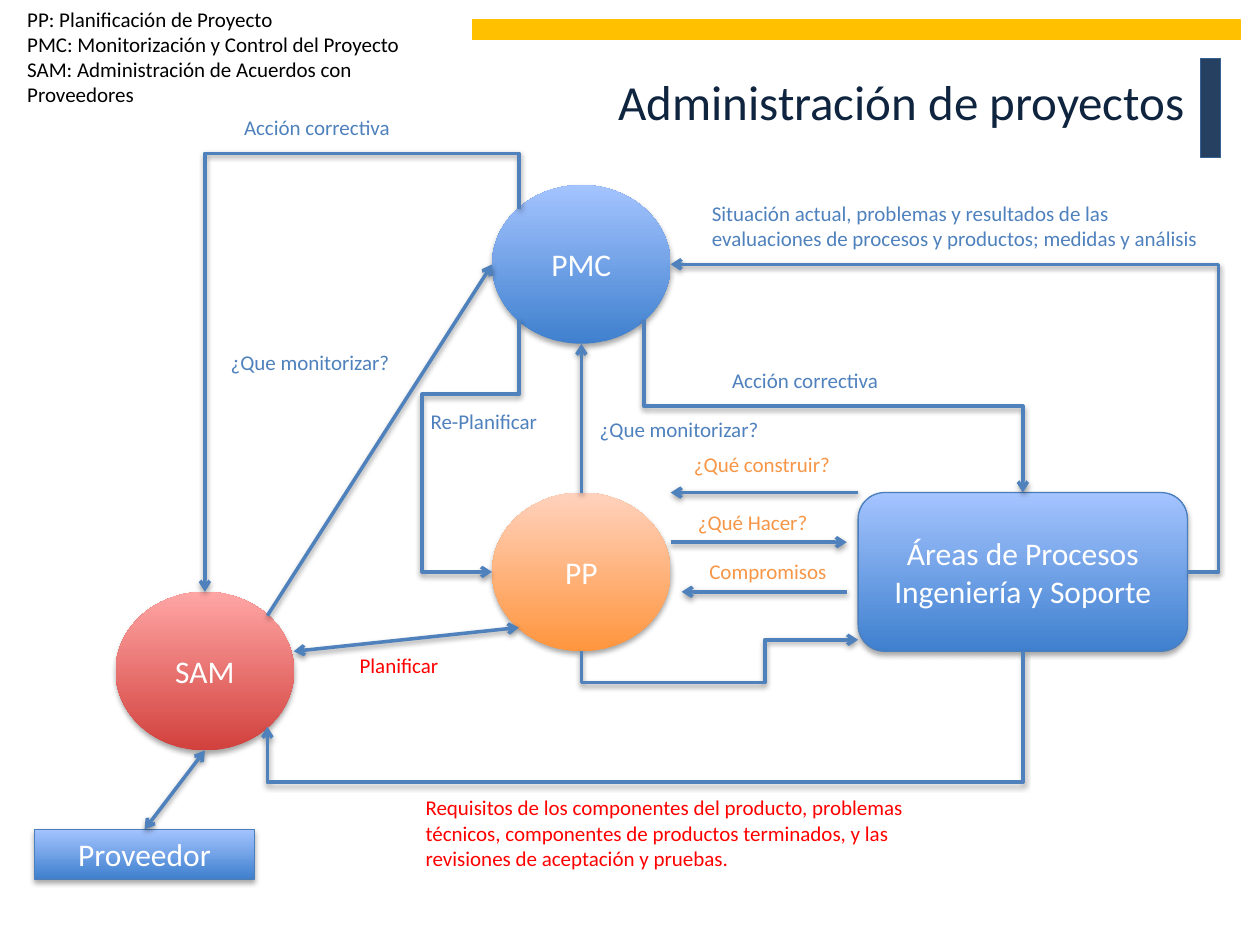
from lxml import etree
from pptx import Presentation
from pptx.dml.color import RGBColor
from pptx.enum.shapes import MSO_CONNECTOR, MSO_SHAPE
from pptx.enum.text import MSO_ANCHOR, MSO_AUTO_SIZE, PP_ALIGN
from pptx.oxml.ns import qn
from pptx.util import Cm, Pt

STRAIGHT, ELBOW = MSO_CONNECTOR.STRAIGHT, MSO_CONNECTOR.ELBOW
RECT, OVAL, ROUNDED = MSO_SHAPE.RECTANGLE, MSO_SHAPE.OVAL, MSO_SHAPE.ROUNDED_RECTANGLE
LEFT, CENTER, RIGHT = PP_ALIGN.LEFT, PP_ALIGN.CENTER, PP_ALIGN.RIGHT
MIDDLE = MSO_ANCHOR.MIDDLE
GROW, FIXED = MSO_AUTO_SIZE.SHAPE_TO_FIT_TEXT, MSO_AUTO_SIZE.NONE

FONT = "Calibri"
COLORS = {
    "navy": "254061", "navy_edge": "376092", "gold": "FFC000", "title": "0F243E",
    "blue": "4F81BD", "red": "FF0000", "orange": "F79646", "black": "000000",
    "white": "FFFFFF", "node_edge": "4B7EBC",
}
GRADIENTS = {
    "blue": ("3F80CE", "A4C4FF"),
    "orange": ("FF953E", "FFD2BD"),
    "red": ("D1403C", "FFA6A5"),
}

PP = (9.92, 9.93, 3.6, 3.2)
PMC = (9.92, 3.73, 3.6, 3.2)
SAM = (2.33, 11.93, 3.6, 3.2)
SUPPLIER = (0.7, 16.72, 4.43, 1)
AREAS = (17.3, 9.93, 6.64, 3.2)
NEAR, FAR = 0.15, 0.85


def rgb(name):
    return RGBColor.from_string(COLORS[name])


def port(node, across, down):
    left, top, width, height = node
    return left + across * width, top + down * height


def write(frame, text, size, color, align):
    frame.word_wrap = True
    frame.text = text
    for paragraph in frame.paragraphs:
        paragraph.alignment = align
        for run in paragraph.runs:
            run.font.name = FONT
            run.font.size = Pt(size)
            run.font.color.rgb = rgb(color)


def add_shadow(properties, distance, opacity):
    effects = properties.find(qn("a:effectLst"))
    if effects is None:
        effects = etree.SubElement(properties, qn("a:effectLst"))
    shadow = etree.SubElement(effects, qn("a:outerShdw"), blurRad="40000",
                              dist=str(distance), dir="5400000", rotWithShape="0")
    tint = etree.SubElement(shadow, qn("a:srgbClr"), val=COLORS["black"])
    etree.SubElement(tint, qn("a:alpha"), val=str(opacity * 1000))


def add_bar(slide, box, fill, edge):
    bar = slide.shapes.add_shape(RECT, *map(Cm, box))
    bar.shadow.inherit = False
    bar.fill.solid()
    bar.fill.fore_color.rgb = rgb(fill)
    bar.line.color.rgb = rgb(edge)
    bar.line.width = Pt(0.75)


def add_node(slide, kind, box, text, gradient):
    node = slide.shapes.add_shape(kind, *map(Cm, box))
    node.fill.gradient()
    node.fill.gradient_angle = 90
    for stop, color in zip(node.fill.gradient_stops, GRADIENTS[gradient]):
        stop.color.rgb = RGBColor.from_string(color)
    if kind == OVAL:
        node.line.fill.background()
    else:
        node.line.color.rgb = rgb("node_edge")
        node.line.width = Pt(0.75)
    node.shadow.inherit = False
    add_shadow(node.element.spPr, 23000, 35)
    node.text_frame.vertical_anchor = MIDDLE
    write(node.text_frame, text, 18, "white", CENTER)


def add_label(slide, box, text, color, size=12, align=LEFT, auto_size=GROW):
    label = slide.shapes.add_textbox(*map(Cm, box))
    write(label.text_frame, text, size, color, align)
    label.text_frame.auto_size = auto_size


def add_arrow(slide, start, end, kind=STRAIGHT, both=False):
    arrow = slide.shapes.add_connector(kind, *map(Cm, start + end))
    arrow.line.color.rgb = rgb("blue")
    arrow.line.width = Pt(2)
    properties = arrow.element.spPr
    outline = properties.find(qn("a:ln"))
    for tip in ("a:headEnd", "a:tailEnd") if both else ("a:tailEnd",):
        etree.SubElement(outline, qn(tip), type="arrow")
    add_shadow(properties, 20000, 38)
    return properties


def quarter_turn_back(point, center):
    dx, dy = point[0] - center[0], point[1] - center[1]
    return center[0] + dy, center[1] - dx


def add_elbow(slide, start, end, bends, vertical=True):
    axis = 1 if vertical else 0
    bend_axes = (axis, 1 - axis)
    ratios = [(bend - start[i]) / (end[i] - start[i]) for bend, i in zip(bends, bend_axes)]
    if vertical:
        center = (start[0] + end[0]) / 2, (start[1] + end[1]) / 2
        start, end = (quarter_turn_back(point, center) for point in (start, end))
    properties = add_arrow(slide, start, end, ELBOW)
    if vertical:
        properties.find(qn("a:xfrm")).set("rot", "5400000")
    geometry = properties.find(qn("a:prstGeom"))
    geometry.set("prst", f"bentConnector{len(bends) + 2}")
    guides = geometry.find(qn("a:avLst"))
    if guides is None:
        guides = etree.SubElement(geometry, qn("a:avLst"))
    for number, ratio in enumerate(ratios, 1):
        etree.SubElement(guides, qn("a:gd"), name=f"adj{number}",
                         fmla=f"val {round(ratio * 100000)}")


def add_nodes(slide):
    for kind, box, text, gradient in (
        (OVAL, PP, "PP", "orange"),
        (OVAL, PMC, "PMC", "blue"),
        (OVAL, SAM, "SAM", "red"),
        (RECT, SUPPLIER, "Proveedor", "blue"),
        (ROUNDED, AREAS, "Áreas de Procesos Ingeniería y Soporte", "blue"),
    ):
        add_node(slide, kind, box, text, gradient)


def add_flows(slide):
    for start, end, both in (
        (port(SAM, 0.5, 1), port(SUPPLIER, 0.5, 0), True),
        ((5.92, 13.13), port(PP, NEAR, FAR), True),
        (port(SAM, FAR, NEAR), port(PMC, 0, 0.5), False),
        (port(PP, 0.5, 0), port(PMC, 0.5, 1), False),
        (port(AREAS, 0, 0), port(PP, 1, 0), False),
        ((13.52, 10.93), (17.07, 10.93), False),
        ((17.07, 11.93), (13.74, 11.93), False),
    ):
        add_arrow(slide, start, end, both=both)
    for start, end, bends in (
        (port(PMC, NEAR, FAR), port(PP, 0, 0.5), (7.95, 8.51)),
        (port(PMC, NEAR, NEAR), port(SAM, 0.5, 0), (3.09,)),
        (port(PP, 0.5, 1), (17.3, 12.9), (15.42 - 1.66, 15.42)),
        (port(AREAS, 0.5, 1), port(SAM, FAR, FAR), (15.77,)),
        (port(PMC, FAR, FAR), port(AREAS, 0.5, 0), (8.19,)),
    ):
        add_elbow(slide, start, end, bends)
    add_elbow(slide, port(AREAS, 1, 0.5), port(PMC, 1, 0.5), (24.57,), vertical=False)


def add_labels(slide):
    for box, text, color in (
        ((4.67, 2.18, 3.85, 0.77), "Acción correctiva", "blue"),
        ((14.1, 3.92, 10.4, 1.28), "Situación actual, problemas y resultados de las "
         "evaluaciones de procesos y productos; medidas y análisis", "blue"),
        ((14.51, 7.29, 3.85, 0.77), "Acción correctiva", "blue"),
        ((8.43, 8.11, 3, 0.77), "Re-Planificar", "blue"),
        ((7, 13.03, 3, 0.77), "Planificar", "red"),
        ((8.33, 15.9, 10.4, 1.8), "Requisitos de los componentes del producto, problemas "
         "técnicos, componentes de productos terminados, y las revisiones de aceptación "
         "y pruebas.", "red"),
        ((11.84, 8.28, 3.85, 0.77), "¿Que monitorizar?", "blue"),
        ((13.74, 8.98, 3.4, 0.77), "¿Qué construir?", "orange"),
        ((13.82, 10.15, 3, 0.77), "¿Qué Hacer?", "orange"),
        ((14.05, 11.14, 3, 0.77), "Compromisos", "orange"),
        ((0.3, 0, 8.8, 2.3), "PP: Planificación de Proyecto\n"
         "PMC: Monitorización y Control del Proyecto\n"
         "SAM: Administración de Acuerdos con Proveedores", "black"),
        ((4.4, 6.93, 3.85, 0.77), "¿Que monitorizar?", "blue"),
    ):
        add_label(slide, box, text, color)


def main():
    deck = Presentation()
    deck.slide_width, deck.slide_height = Cm(25.4), Cm(19.05)
    slide = deck.slides.add_slide(deck.slide_layouts[6])
    add_bar(slide, (24.2, 1.18, 0.4, 1.99), "navy", "navy_edge")
    add_bar(slide, (9.52, 0.4, 15.48, 0.4), "gold", "gold")
    add_label(slide, (1.27, 1.32, 22.86, 3.18), "Administración de proyectos",
              "title", 28, RIGHT, FIXED)
    add_nodes(slide)
    add_flows(slide)
    add_labels(slide)
    deck.save("out.pptx")


main()
